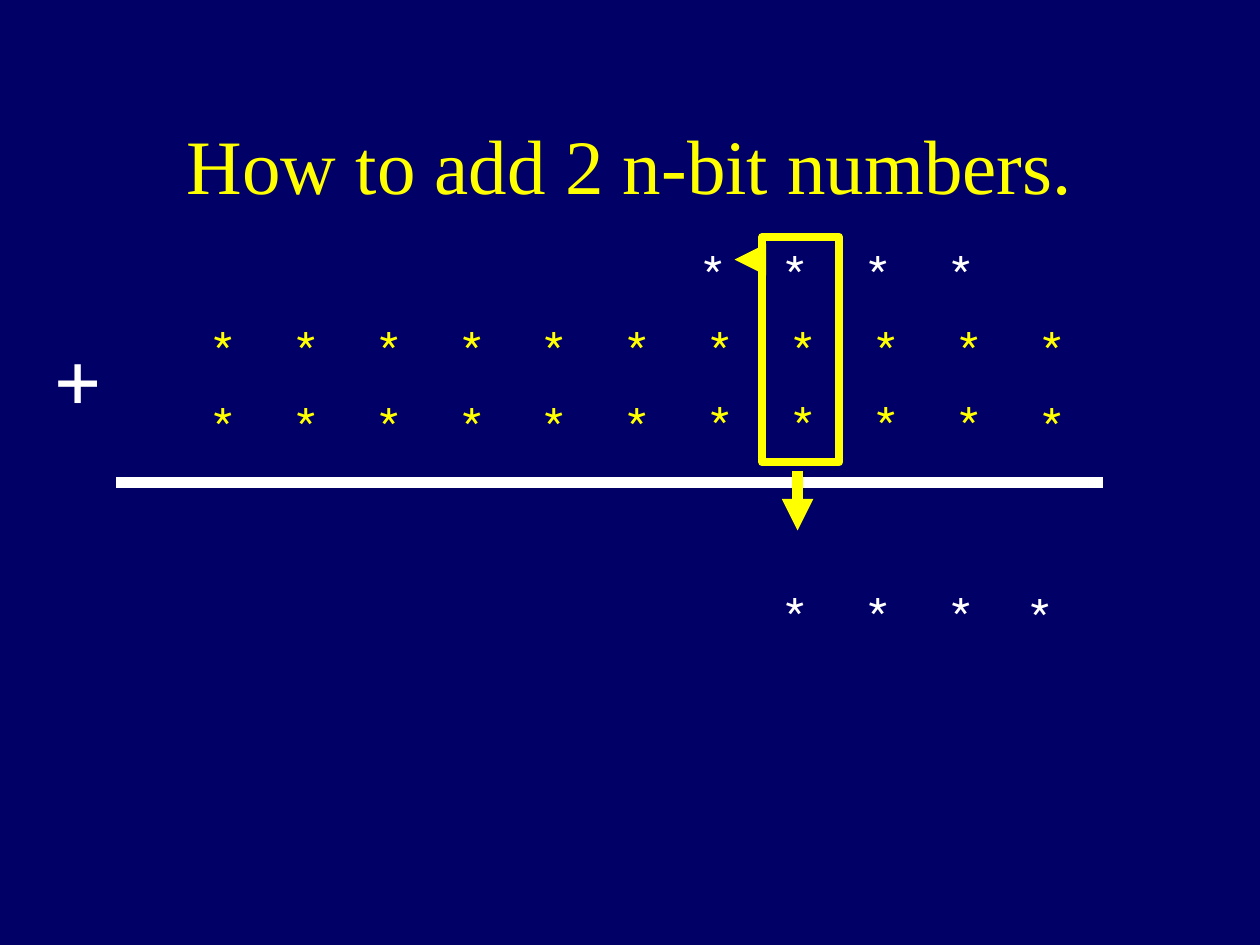
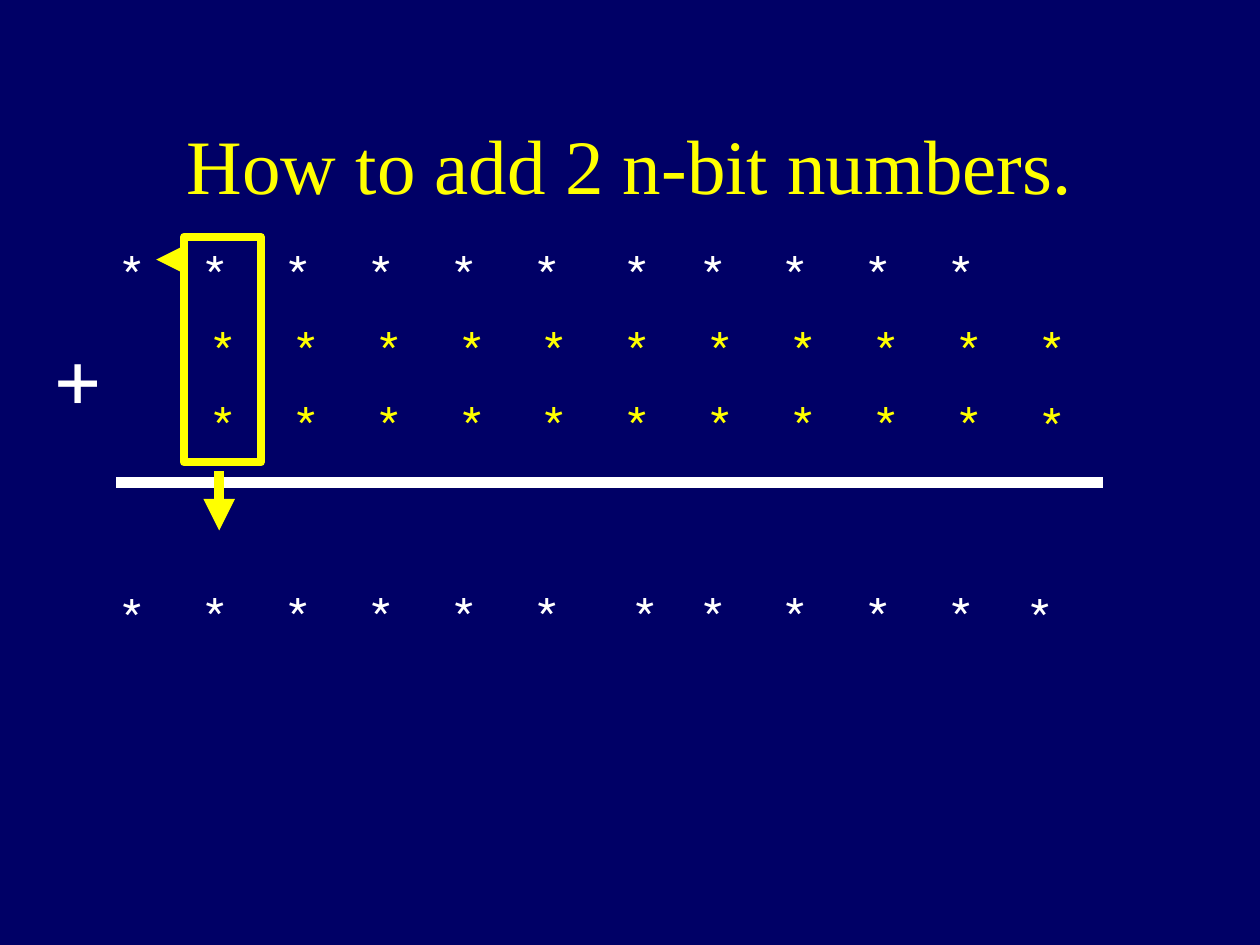
from pptx import Presentation, util as u
from pptx.dml.color import RGBColor
from pptx.enum import shapes as s, text as t
from pptx.oxml.ns import qn
from lxml import etree

NAVY = RGBColor(0x00, 0x00, 0x66)
GOLD = RGBColor(0xFF, 0xFF, 0x00)
WHITE = RGBColor(0xFF, 0xFF, 0xFF)

TITLE = "How to add 2 n-bit numbers."
BITS = 11
STEPS = [
    {"carry": range(6, 10), "sum": range(7, 11), "frame": 6.05},
    {"carry": range(-1, 10), "sum": range(-1, 11), "frame": 1.46},
]
STAR = "* "
ODD = {("carry", 5): "*", ("sum", 5): " *"}
WIDE = {("sum", 10): 500}

SERIF = {"name": "Times New Roman", "size": u.Pt(44)}
DIGIT = {"name": "League Spartan", "size": u.Pt(36)}
SIGN = {"name": "League Spartan", "size": u.Pt(54)}

LEFT, TOP, WIDTH, HIGH = 0.92, 1.83, 1.71, 4.02
PITCH = (7.5 - LEFT) / (BITS - 1)
ROW = 43.3
GAP = 22.5


def inches(*vals):
    return [u.Inches(v) for v in vals]


def box(tree, place, side, lift=0.05, anchor=t.MSO_ANCHOR.MIDDLE):
    frame = tree.add_textbox(*inches(*place)).text_frame
    form = {
        "word_wrap": True,
        "auto_size": t.MSO_AUTO_SIZE.NONE,
        "vertical_anchor": anchor,
        "margin_left": u.Inches(side),
        "margin_right": u.Inches(side),
        "margin_top": u.Inches(lift),
        "margin_bottom": u.Inches(0.05),
    }
    for key, val in form.items():
        setattr(frame, key, val)
    return frame


def write(para, words, font, color, before=0, wide=0):
    para.alignment = t.PP_ALIGN.CENTER
    para.space_before = u.Pt(before)
    run = para.add_run()
    run.text = words
    for key, val in font.items():
        setattr(run.font, key, val)
    run.font.color.rgb = color
    if wide:
        run.font._element.set("spc", str(wide))


def line(tree, start, end, color, arrow=False):
    link = tree.add_connector(s.MSO_CONNECTOR.STRAIGHT, *inches(*start, *end))
    link.line.color.rgb = color
    link.line.width = u.Pt(6)
    if arrow:
        etree.SubElement(link.line._get_or_add_ln(), qn("a:tailEnd"), type="triangle")
    etree.SubElement(link._element.spPr, qn("a:effectLst"))


def column(tree, col, step):
    rows = []
    if col in step["carry"]:
        rows.append(("carry", WHITE, 0))
    if col >= 0:
        rows += [("bit", GOLD, 0)] * 2
    if col in step["sum"]:
        skip = 1 if col >= 0 else 3
        rows.append(("sum", WHITE, GAP + skip * ROW))
    if not rows:
        return
    lift = 0.05 if rows[0][0] == "carry" else 0.05 + ROW / 72
    frame = box(tree, (LEFT + col * PITCH, TOP, WIDTH, HIGH), 0.3, lift, t.MSO_ANCHOR.TOP)
    for num, (kind, color, before) in enumerate(rows):
        para = frame.add_paragraph() if num else frame.paragraphs[0]
        words = "*" if kind == "bit" else ODD.get((kind, col), STAR)
        write(para, words, DIGIT, color, before, WIDE.get((kind, col), 0))


def marker(tree, left):
    group = tree.add_group_shape().shapes
    line(group, (left + 0.28, 3.74), (left + 0.28, 4.21), GOLD, True)
    rect = group.add_shape(s.MSO_SHAPE.RECTANGLE, *inches(left, 1.88, 0.61, 1.79))
    rect.shadow.inherit = False
    rect.fill.background()
    rect.line.color.rgb = GOLD
    rect.line.width = u.Pt(4.5)
    line(group, (left - 0.01, 2.06), (left - 0.22, 2.06), GOLD, True)


def build(deck, step):
    slide = deck.slides.add_slide(deck.slide_layouts[6])
    slide.background.fill.solid()
    slide.background.fill.fore_color.rgb = NAVY
    tree = slide.shapes
    write(box(tree, (0.75, 0.67, 8.5, 1.25), 0.1).paragraphs[0], TITLE, SERIF, GOLD)
    for col in range(-1, BITS):
        column(tree, col, step)
    line(tree, (8.75, 3.83), (0.92, 3.83), WHITE)
    write(box(tree, (0.25, 2.5, 0.75, 1), 0.15).paragraphs[0], "+", SIGN, WHITE)
    marker(tree, step["frame"])


def main():
    deck = Presentation()
    deck.slide_width, deck.slide_height = inches(10, 7.5)
    for step in STEPS:
        build(deck, step)
    deck.save("out.pptx")


if __name__ == "__main__":
    main()
